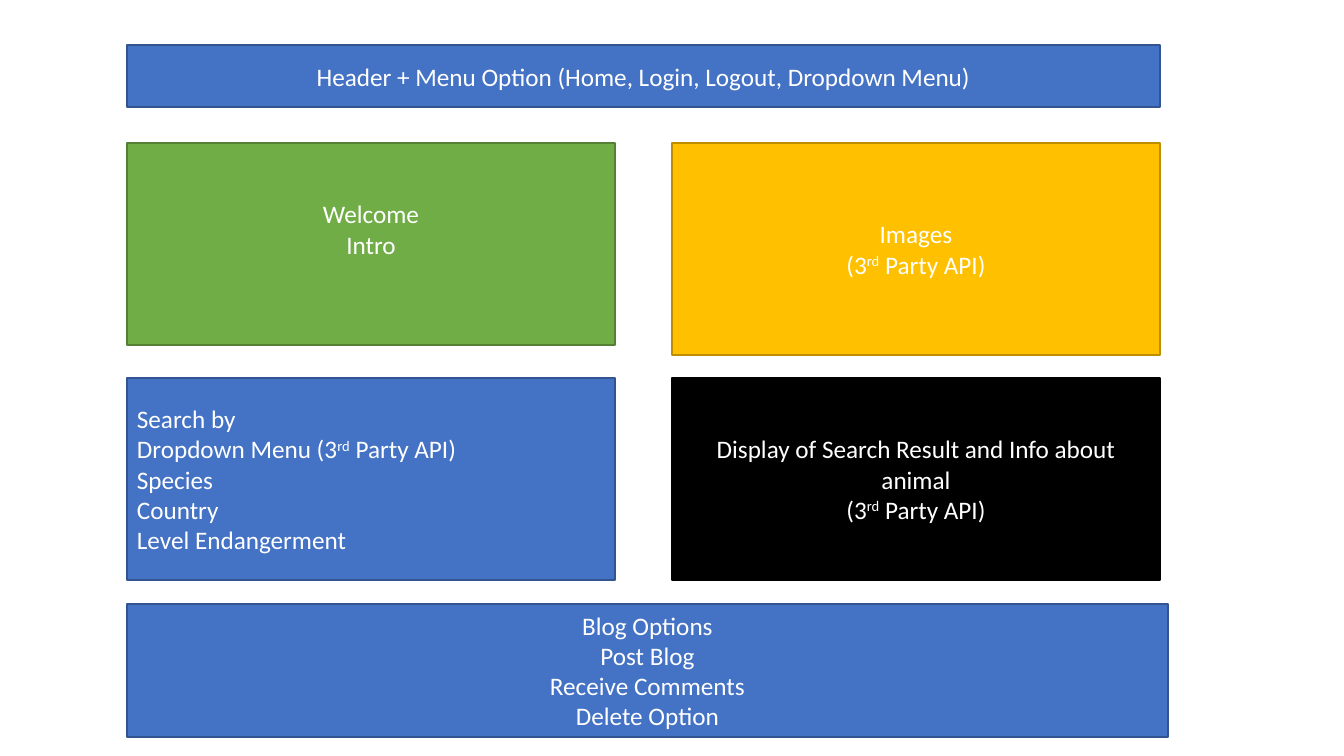
from pptx import Presentation
from pptx.dml.color import RGBColor
from pptx.enum.shapes import MSO_SHAPE as Preset
from pptx.enum.text import MSO_ANCHOR as Anchor, PP_ALIGN as Align
from pptx.util import Inches, Pt

# Content: text between ^ marks is superscript
HEADER = ["Header + Menu Option (Home, Login, Logout, Dropdown Menu)"]
WELCOME = ["Welcome", "Intro"]
IMAGES = ["Images", "(3^rd^ Party API)"]
SEARCH = ["Search by", "Dropdown Menu (3^rd^ Party API)", "Species", "Country",
          "Level Endangerment"]
RESULT = ["Display of Search Result and Info about animal", "(3^rd^ Party API)"]
BLOG = ["Blog Options", "Post Blog", "Receive Comments", "Delete Option"]

COLORS = {
    "blue": "4472C4", "blue line": "325491",
    "green": "70AD47", "green line": "538035",
    "gold": "FFC000", "gold line": "BD8E00",
    "black": "000000", "black line": "000000",
    "text": "FFFFFF",
}

# Layout in px
PX = Inches(7.5) / 756
LEFT, RIGHT = 127, 672
COLUMN = 488
FULL = RIGHT + COLUMN - LEFT
TOP_ROW, SEARCH_ROW = 143, 378
ROW_HEIGHT = 202
TEXT_LIFT = 35  # bottom inset that raises the welcome text

# (lines, left, top, width, height, color, alignment, bottom inset)
BLOCKS = [
    (WELCOME, LEFT, TOP_ROW, COLUMN, ROW_HEIGHT, "green", Align.CENTER, TEXT_LIFT),
    (IMAGES, RIGHT, TOP_ROW, COLUMN, ROW_HEIGHT + 10, "gold", Align.CENTER, 5),
    (SEARCH, LEFT, SEARCH_ROW, COLUMN, ROW_HEIGHT, "blue", Align.LEFT, 5),
    (HEADER, LEFT, 45, FULL, 62, "blue", Align.CENTER, 5),
    (RESULT, RIGHT, SEARCH_ROW, COLUMN, ROW_HEIGHT, "black", Align.CENTER, 5),
    (BLOG, LEFT, 604, FULL + 8, 133, "blue", Align.CENTER, 5),
]


def px(length):
    return round(length * PX)


def rgb(name):
    return RGBColor.from_string(COLORS[name])


def write_line(paragraph, line, alignment):
    paragraph.alignment = alignment
    paragraph.font.name = "Calibri"
    paragraph.font.size = Pt(18)
    paragraph.font.color.rgb = rgb("text")
    for index, part in enumerate(line.split("^")):
        run = paragraph.add_run()
        run.text = part
        if index % 2:
            run.font._element.set("baseline", "30000")


def add_block(slide, lines, left, top, width, height, color, alignment, bottom):
    shape = slide.shapes.add_shape(
        Preset.RECTANGLE, px(left), px(top), px(width), px(height))
    shape.shadow.inherit = False
    shape.fill.solid()
    shape.fill.fore_color.rgb = rgb(color)
    shape.line.color.rgb = rgb(color + " line")
    shape.line.width = Pt(1)

    frame = shape.text_frame
    frame.word_wrap = True
    frame.vertical_anchor = Anchor.MIDDLE
    frame.margin_bottom = px(bottom)
    for index, line in enumerate(lines):
        paragraph = frame.add_paragraph() if index else frame.paragraphs[0]
        write_line(paragraph, line, alignment)


def main():
    presentation = Presentation()
    presentation.slide_width = px(1344)
    presentation.slide_height = px(756)
    slide = presentation.slides.add_slide(presentation.slide_layouts[6])
    for block in BLOCKS:
        add_block(slide, *block)
    presentation.save("out.pptx")


if __name__ == "__main__":
    main()
